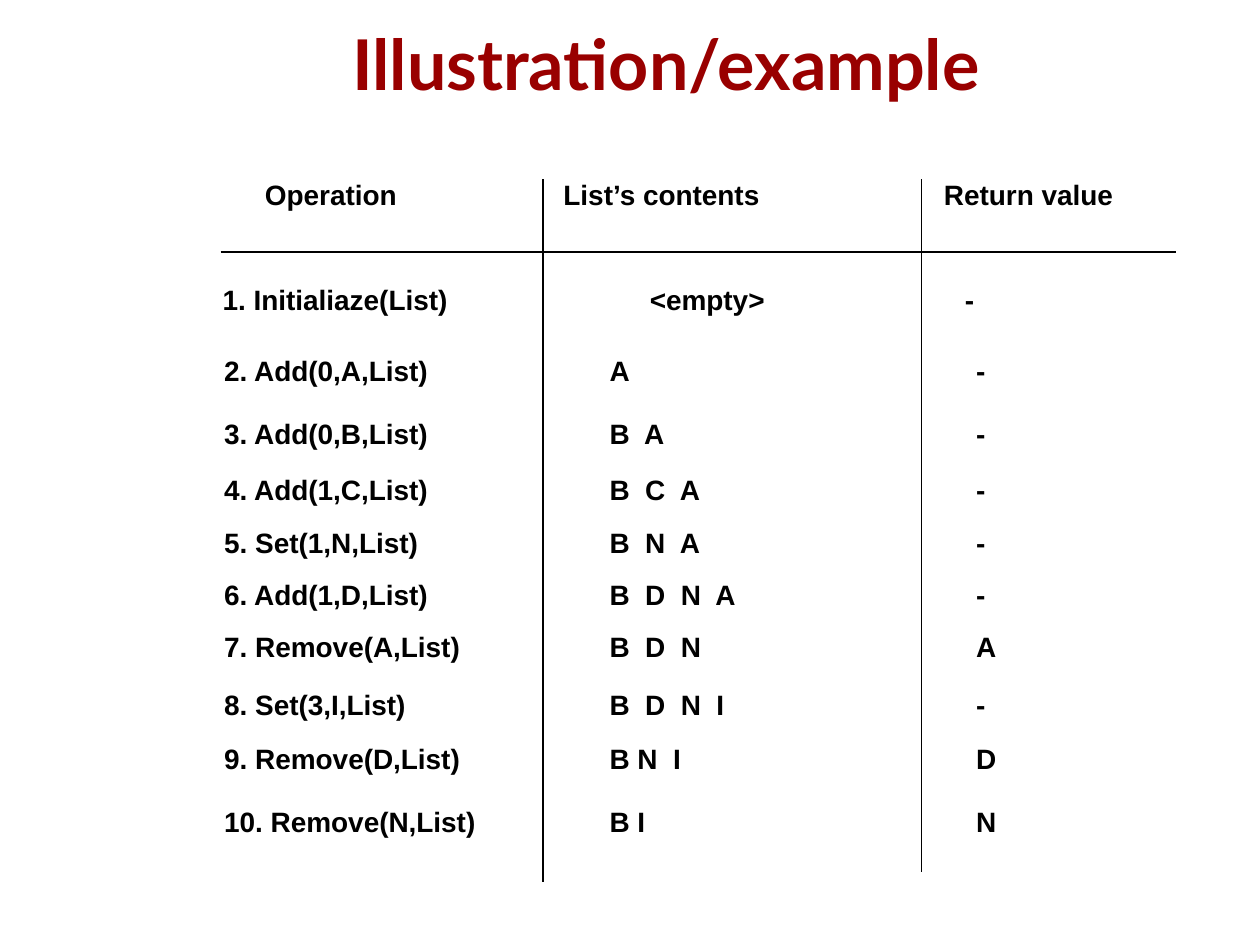
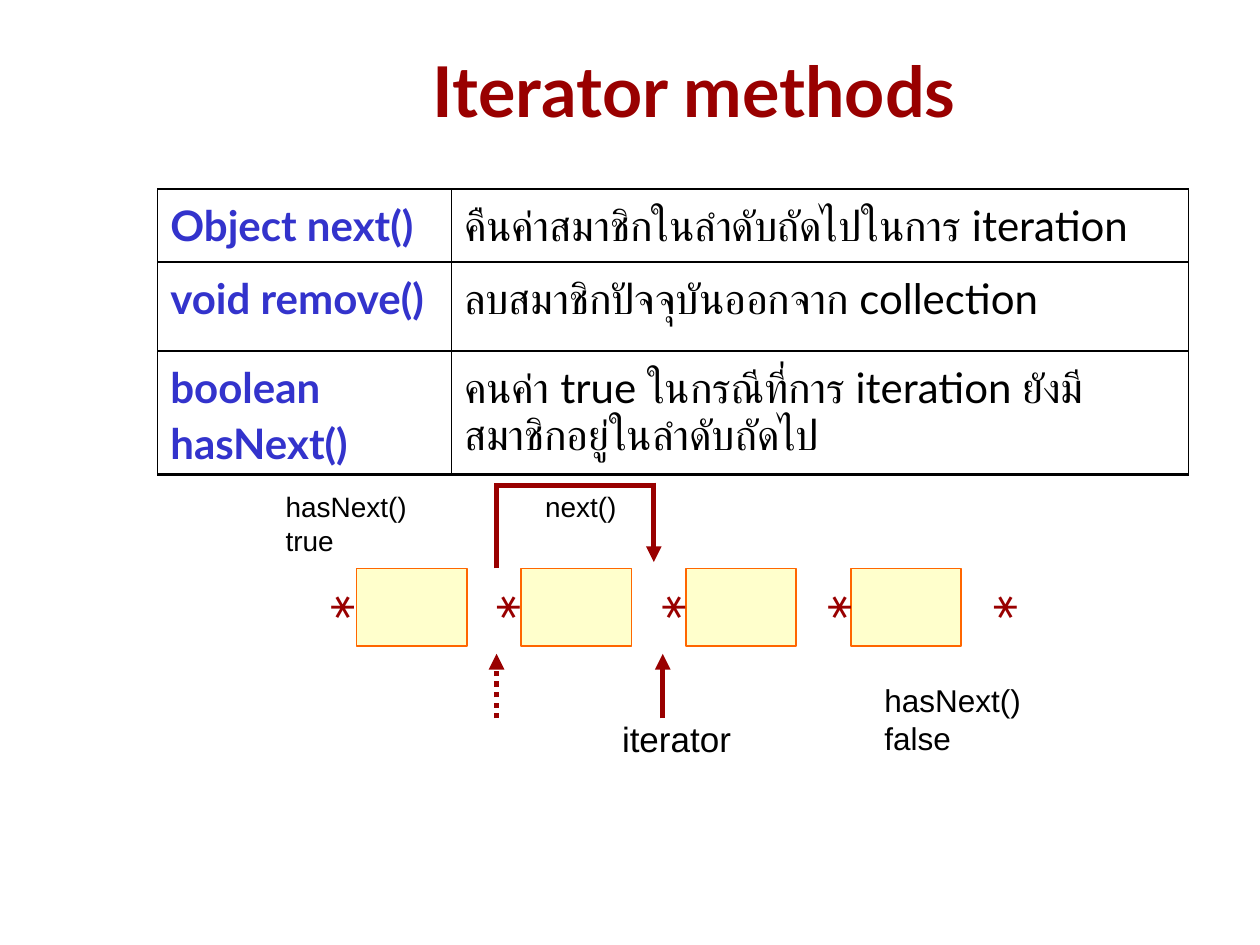
import lxml.etree
import pptx
import pptx.dml.color
import pptx.enum.dml
import pptx.enum.shapes
import pptx.enum.text
import pptx.oxml.ns
import pptx.util

RGBColor = pptx.dml.color.RGBColor
Cm = pptx.util.Cm
ALIGN = pptx.enum.text.PP_ALIGN
ANCHOR = pptx.enum.text.MSO_ANCHOR

BLACK = RGBColor(0x00, 0x00, 0x00)
WHITE = RGBColor(0xFF, 0xFF, 0xFF)
DARK_RED = RGBColor(0x99, 0x00, 0x00)
BLUE = RGBColor(0x33, 0x33, 0xCC)
CREAM = RGBColor(0xFF, 0xFF, 0xCC)
ORANGE = RGBColor(0xFF, 0x66, 0x00)

TITLE_AND_CONTENT, TITLE_ONLY = 1, 5

# Top of the row, left edges of the three columns, then the texts
COLUMNS = (4.27, 12.04, 19.43)
OPERATIONS = [
    (5.51, (4.24, 12.85, 19.2), ("1. Initialiaze(List)", "<empty>", "-")),
    (6.93, COLUMNS, ("2. Add(0,A,List)", "A", "-")),
    (8.2, COLUMNS, ("3. Add(0,B,List)", "B  A", "-")),
    (9.34, COLUMNS, ("4. Add(1,C,List)", "B  C  A", "-")),
    (10.4, COLUMNS, ("5. Set(1,N,List)", "B  N  A", "-")),
    (11.46, COLUMNS, ("6. Add(1,D,List)", "B  D  N  A", "-")),
    (12.5, COLUMNS, ("7. Remove(A,List)", "B  D  N", "A")),
    (13.66, COLUMNS, ("8. Set(3,I,List)", "B  D  N  I", "-")),
    (14.75, COLUMNS, ("9. Remove(D,List)", "B N  I", "D")),
    (16.03, COLUMNS, ("10. Remove(N,List)", "B I", "N")),
]
METHODS = [
    ("Object next()", "คืนค่าสมาชิกในลำดับถัดไปในการ iteration"),
    ("void remove()", "ลบสมาชิกปัจจุบันออกจาก collection"),
    ("boolean hasNext()", "คนค่า true ในกรณีที่การ iteration ยังมีสมาชิกอยู่ในลำดับถัดไป"),
]


def add_xml(parent, tag, **attributes):
    return lxml.etree.SubElement(parent, pptx.oxml.ns.qn(tag), **attributes)


def write(tf, text, size=16, font="Arial", color=BLACK, bold=False,
          align=ALIGN.LEFT, spacing=None, indent=0):
    """Fill a text frame, one paragraph for each line of the text."""
    for i, line in enumerate(text.split("\n")):
        p = tf.add_paragraph() if i else tf.paragraphs[0]
        p.alignment = align
        p.line_spacing = spacing
        p.space_before = pptx.util.Pt(0)
        pPr = p._p.get_or_add_pPr()
        pPr.set("marL", str(Cm(indent)))
        pPr.set("indent", "0")
        add_xml(pPr, "a:buNone")
        r = p.add_run()
        r.text = line
        r.font.size = pptx.util.Pt(size)
        r.font.name = font
        r.font.bold = bold
        r.font.color.rgb = color


class Deck:
    def __init__(self):
        self.prs = pptx.Presentation()
        self.prs.slide_width, self.prs.slide_height = Cm(25.4), Cm(19.05)
        self.s = None

    def slide(self, layout, title, at):
        self.s = self.prs.slides.add_slide(self.prs.slide_layouts[layout])
        self.placeholder(0, title, at, ANCHOR.MIDDLE, size=40, font="Lato",
                         color=DARK_RED, bold=True, align=ALIGN.CENTER, spacing=0.81)

    def placeholder(self, index, text, at, anchor=ANCHOR.TOP, **style):
        sp = self.s.placeholders[index]
        sp.left, sp.top, sp.width, sp.height = map(Cm, at)
        self.frame(sp, anchor, 0)
        write(sp.text_frame, text, **style)

    def frame(self, sp, anchor, margin=None, wrap=True):
        tf = sp.text_frame
        tf.auto_size = pptx.enum.text.MSO_AUTO_SIZE.NONE
        tf.word_wrap = wrap
        tf.vertical_anchor = anchor
        if margin is not None:
            tf.margin_left = tf.margin_right = tf.margin_top = tf.margin_bottom = Cm(margin)

    def text(self, text, at, wrap=True, **style):
        sp = self.s.shapes.add_textbox(*map(Cm, at))
        self.frame(sp, ANCHOR.TOP, wrap=wrap)
        write(sp.text_frame, text, **style)

    def asterisk(self, x, y, width=0.53, height=0.74):
        """Put a star, turned a quarter, around the point x, y."""
        sp = self.s.shapes.add_textbox(Cm(x - width / 2), Cm(y - height / 2),
                                       Cm(width), Cm(height))
        sp.rotation = 90
        self.frame(sp, ANCHOR.MIDDLE, 0, wrap=False)
        write(sp.text_frame, "*", size=36, font="Montserrat", color=DARK_RED,
              align=ALIGN.CENTER, spacing=0.93)

    def box(self, *at):
        sp = self.s.shapes.add_shape(pptx.enum.shapes.MSO_SHAPE.RECTANGLE, *map(Cm, at))
        sp.shadow.inherit = False
        sp.fill.solid()
        sp.fill.fore_color.rgb = CREAM
        sp.line.color.rgb = ORANGE
        sp.line.width = pptx.util.Pt(1)

    def line(self, *ends, color=BLACK, width=0.75, arrow=False, dotted=False):
        sp = self.s.shapes.add_connector(pptx.enum.shapes.MSO_CONNECTOR.STRAIGHT,
                                         *map(Cm, ends))
        sp.line.color.rgb = color
        sp.line.width = pptx.util.Pt(width)
        if dotted:
            sp.line.dash_style = pptx.enum.dml.MSO_LINE.ROUND_DOT
        if arrow:
            add_xml(sp.line._get_or_add_ln(), "a:tailEnd", type="triangle")
        add_xml(sp._element.spPr, "a:effectLst")

    def table(self, rows, at, widths, heights):
        """Draw a ruled table with bold blue terms in its first column."""
        table = self.s.shapes.add_table(len(rows), len(widths), *map(Cm, at)).table
        table.first_row = table.horz_banding = False
        for column, width in zip(table.columns, widths):
            column.width = Cm(width)
        for i, (row, height) in enumerate(zip(rows, heights)):
            table.rows[i].height = Cm(height)
            for j, text in enumerate(row):
                cell = table.cell(i, j)
                self.borders(cell, 2.25 if i == len(rows) - 1 else 1)
                cell.fill.solid()
                cell.fill.fore_color.rgb = WHITE
                write(cell.text_frame, text, size=24, font="Lato", spacing=1.1,
                      color=BLACK if j else BLUE, bold=j == 0)

    def borders(self, cell, bottom):
        tcPr = cell._tc.get_or_add_tcPr()
        for side, width in zip("LRTB", (1, 1, 1, bottom)):
            ln = add_xml(tcPr, f"a:ln{side}", w=str(pptx.util.Pt(width)))
            add_xml(add_xml(ln, "a:solidFill"), "a:srgbClr", val=str(BLACK))


def illustration_slide(deck):
    deck.slide(TITLE_AND_CONTENT, "Illustration/example", (5.26, 0.53, 16.33, 1.78))
    body = dict(bold=True, spacing=1.1)
    deck.placeholder(1, "Operation", (4.34, 3.51, 5.92, 1.47), indent=1, **body)
    deck.text("List’s contents", (10.11, 3.38, 8.26, 1.47), indent=1, **body)
    deck.text("Return value", (17.78, 3.38, 6.35, 1.47), indent=1, **body)
    deck.line(10.95, 3.61, 10.95, 17.78)
    deck.line(18.57, 3.61, 18.57, 17.58)
    deck.line(4.45, 5.08, 23.7, 5.08)
    for top, lefts, texts in OPERATIONS:
        for left, width, text in zip(lefts, (7.3, 5.66, 3.18), texts):
            deck.text(text, (left, top, width, 1.47), **body)


def iterator_slide(deck):
    deck.slide(TITLE_ONLY, "Iterator methods", (3.15, 0.53, 21.69, 2.87))
    deck.table(METHODS, (3.18, 3.81, 20.78, 4.88), (5.92, 14.86), (1.47, 1.8, 1.6))
    for i in range(4):
        deck.box(7.19 + 3.32 * i, 11.46, 2.22, 1.57)
    for i in range(5):
        deck.asterisk(6.62 + 3.34 * i, 12.26)

    red = dict(color=DARK_RED, width=3)
    deck.line(10.01, 14.48, 10.01, 13.18, arrow=True, dotted=True, **red)
    deck.line(13.36, 14.48, 13.36, 13.18, arrow=True, **red)
    deck.line(10.01, 11.46, 10.01, 9.73, **red)
    deck.line(13.18, 9.78, 10.01, 9.78, **red)
    deck.line(13.18, 9.73, 13.18, 11.33, arrow=True, **red)

    deck.text("hasNext()\ntrue", (5.51, 9.75, 3.15, 1.63), wrap=False)
    deck.text("next()", (10.74, 9.75, 1.98, 0.94), wrap=False)
    deck.text("iterator", (12.29, 14.33, 2.72, 1.09), wrap=False, size=20)
    deck.text("hasNext()\nfalse", (17.58, 13.6, 3.45, 1.85), wrap=False, size=18)


def main():
    deck = Deck()
    illustration_slide(deck)
    iterator_slide(deck)
    deck.prs.save("out.pptx")


if __name__ == "__main__":
    main()
